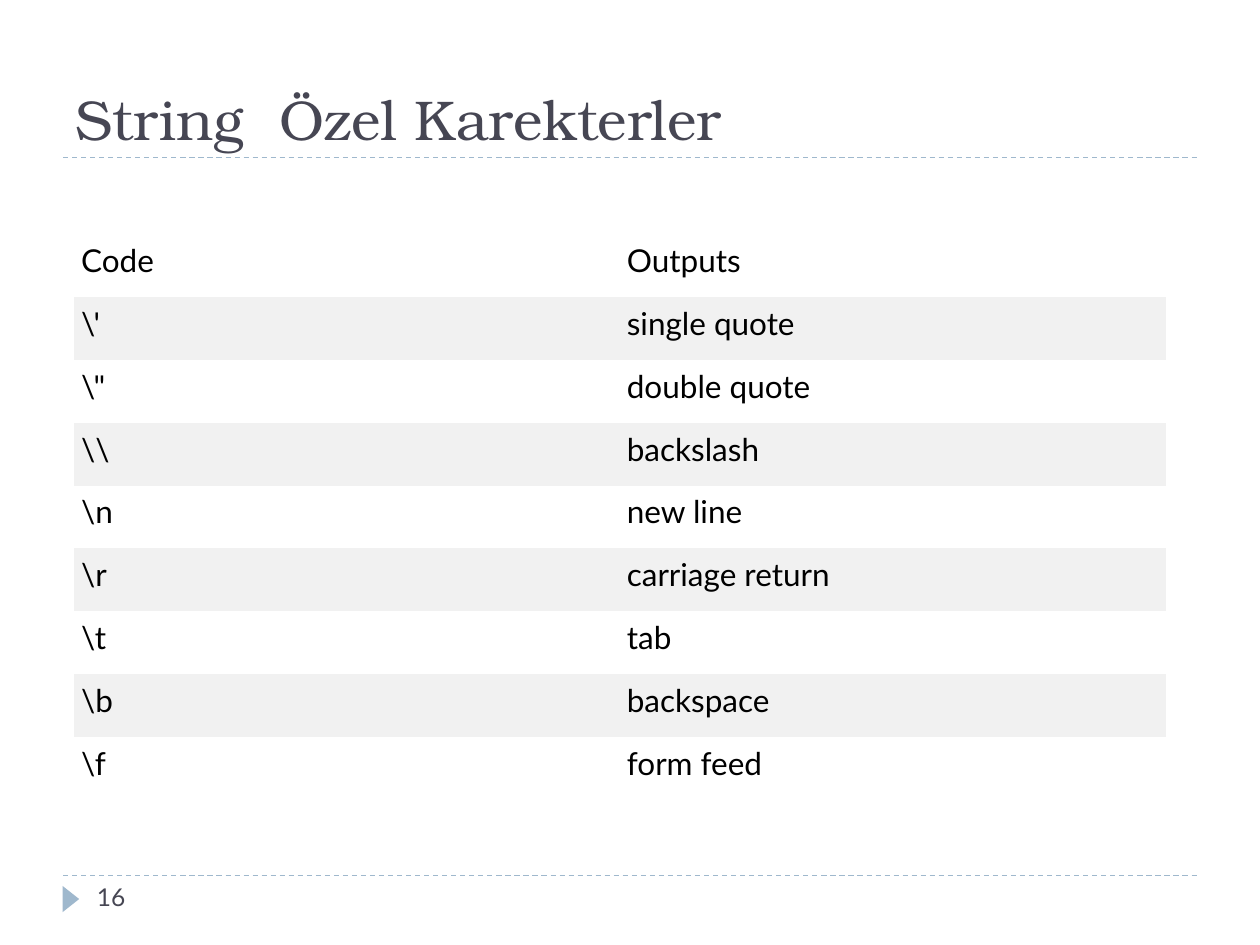
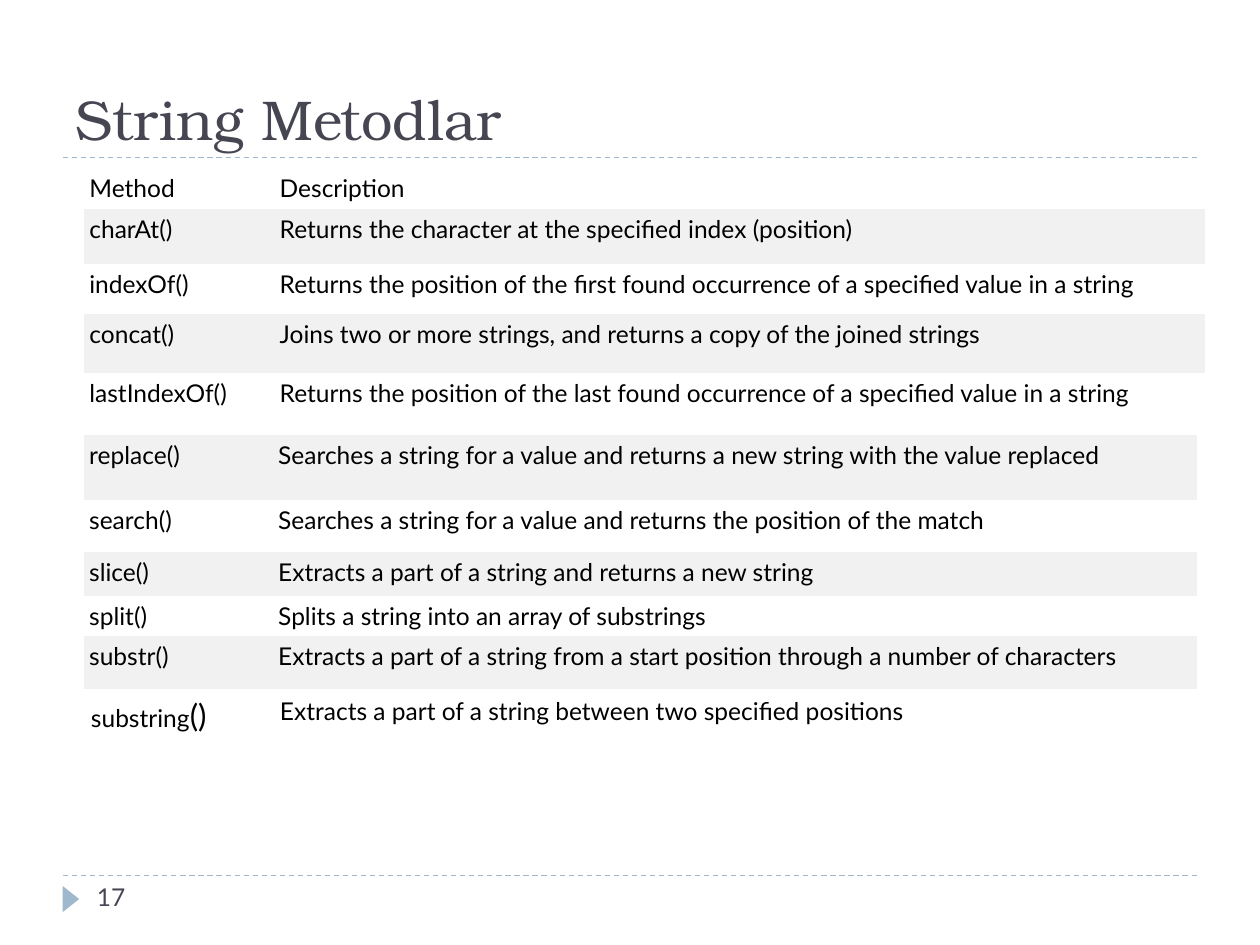
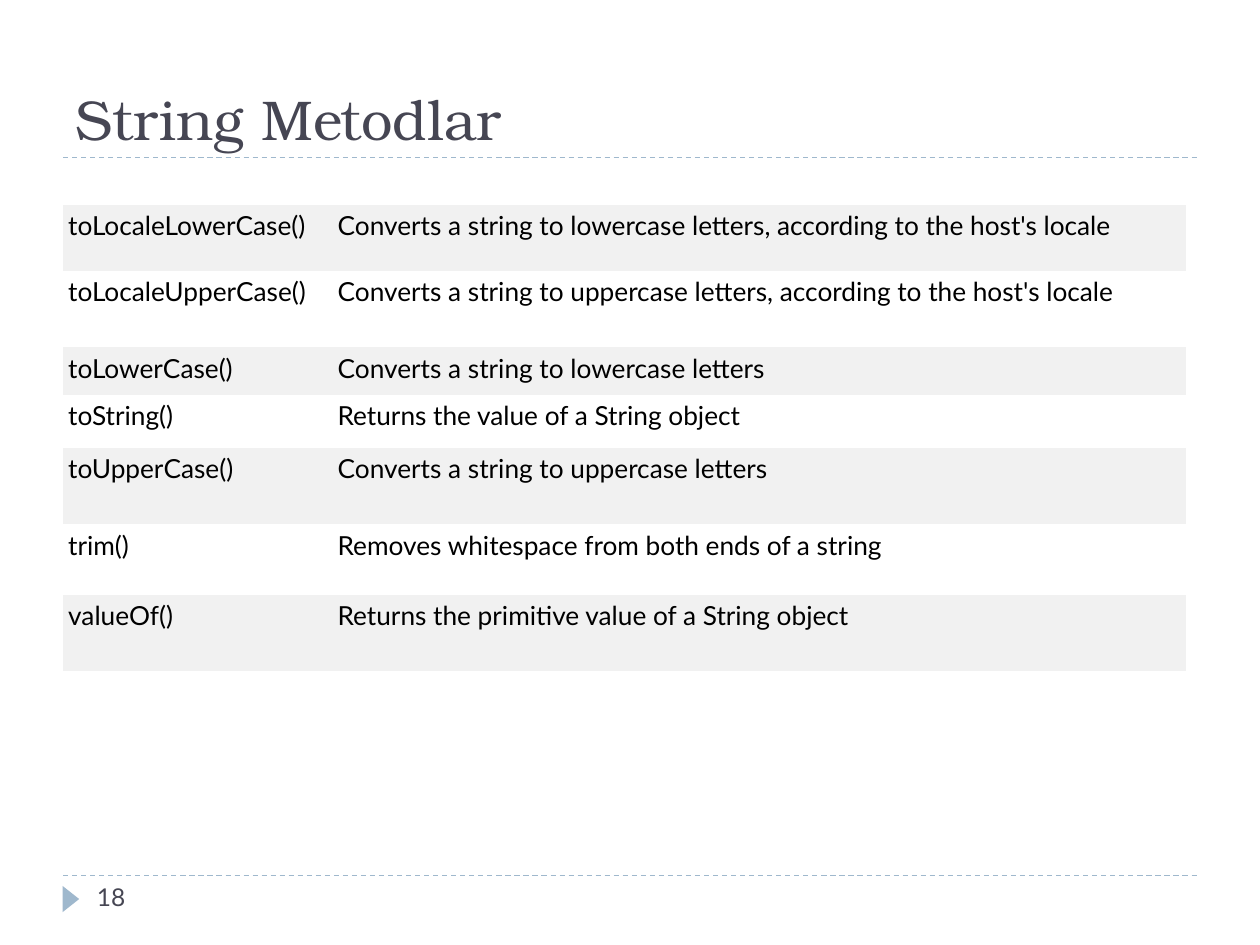
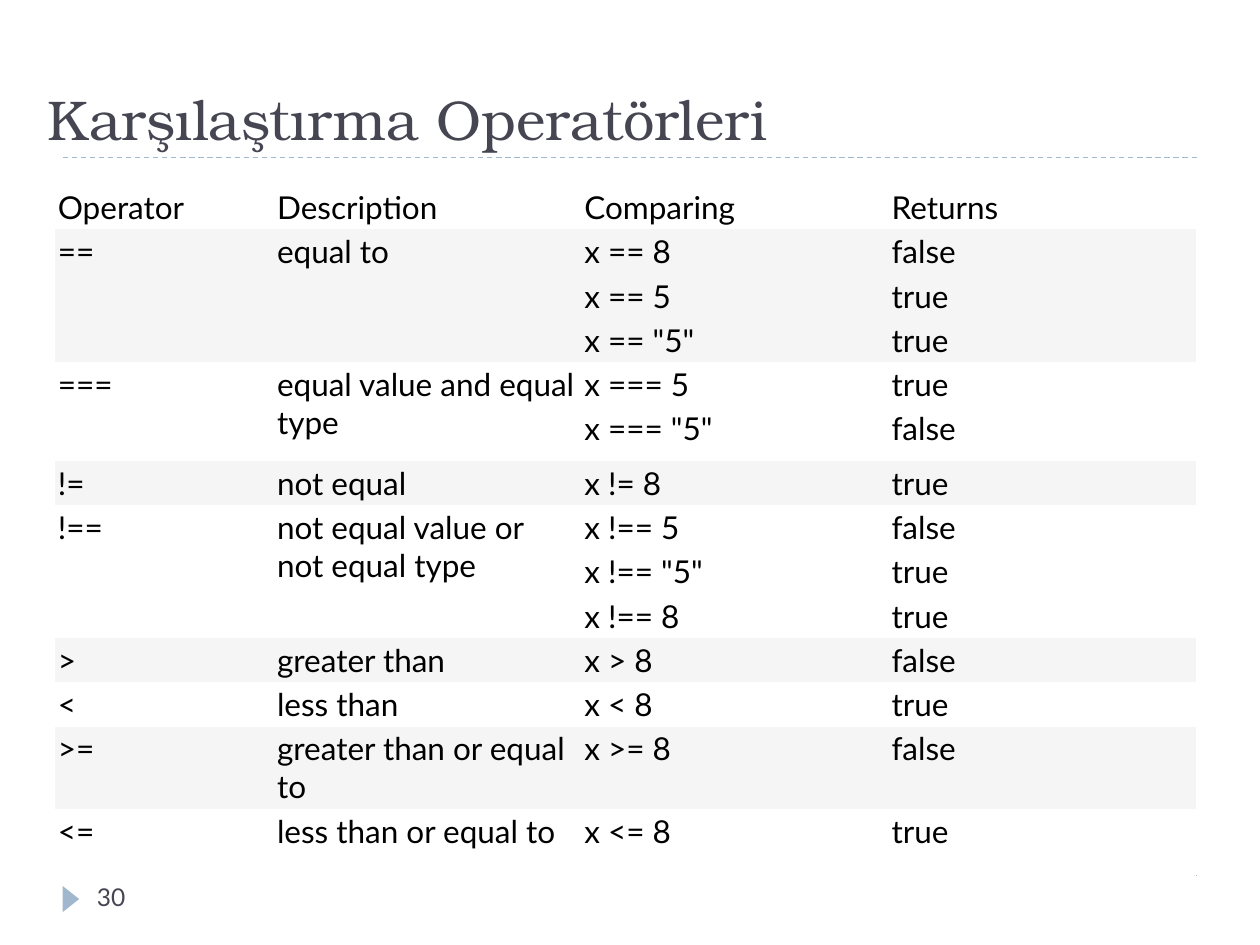
from dataclasses import dataclass
from typing import NamedTuple, Optional, Sequence, Union

from pptx import Presentation
from pptx.dml.color import RGBColor
from pptx.enum.dml import MSO_LINE
from pptx.enum.shapes import MSO_CONNECTOR, MSO_SHAPE
from pptx.enum.text import MSO_ANCHOR, MSO_AUTO_SIZE, PP_ALIGN
from pptx.oxml import parse_xml
from pptx.oxml.ns import nsdecls, qn
from pptx.util import Pt

DASH = MSO_LINE.DASH
STRAIGHT = MSO_CONNECTOR.STRAIGHT
TRIANGLE = MSO_SHAPE.ISOSCELES_TRIANGLE
BOTTOM, TOP = MSO_ANCHOR.BOTTOM, MSO_ANCHOR.TOP
NO_FIT = MSO_AUTO_SIZE.NONE
LEFT = PP_ALIGN.LEFT

INK, ACCENT, BLACK, WHITE = "464653", "9FB8CD", "000000", "FFFFFF"
LIGHT_GREY, PALE_GREY = "F1F1F1", "F5F5F5"
PLAIN_TABLE = "{2D5ABB26-0587-4C30-8999-92F81FD0307C}"
TITLE_ONLY = 5
RULE_TOPS = (90, 500.5)

TITLE_FONT = {"name": "TeX Gyre Bonum", "size": Pt(32), "bold": False}
NUMBER_FONT = {"name": "Lato", "size": Pt(14)}


class Span(NamedTuple):
    """A piece of text with its own size."""
    text: str
    size: float


# None continues the cell above.
Cell = Union[str, Sequence[Span], None]


@dataclass
class Grid:
    """A banded table: place, column widths, row heights and cells."""
    left: float
    top: float
    cols: Sequence[float]
    heights: Sequence[float]
    rows: Sequence[Sequence[Cell]]
    size: float
    inset: float
    band: str = LIGHT_GREY
    band_first: bool = False


@dataclass
class Page:
    """One slide: title, page number and tables."""
    title: str
    number: int
    grids: Sequence[Grid]
    title_left: float = 36


def rgb(value: str) -> RGBColor:
    """Turn a hex string into a colour."""
    return RGBColor.from_string(value)


def format_font(font, values: dict, color: str) -> None:
    """Set font attributes and colour."""
    for name, value in values.items():
        setattr(font, name, value)
    font.color.rgb = rgb(color)


def add_rule(slide, top: float) -> None:
    """Draw a dashed rule across the slide."""
    line = slide.shapes.add_connector(STRAIGHT, Pt(36), Pt(top), Pt(684), Pt(top))
    line.line.color.rgb = rgb(ACCENT)
    line.line.width = Pt(0.75)
    line.line.dash_style = DASH
    line.element.spPr.append(parse_xml(f"<a:effectLst {nsdecls('a')}/>"))


def add_frame(slide, number: int) -> None:
    """Draw the rules, the footer marker and the page number."""
    for top in RULE_TOPS:
        add_rule(slide, top)
    sp = slide.shapes.add_shape(TRIANGLE, Pt(33), Pt(509), Pt(15), Pt(9.5))
    sp.rotation = 90
    sp.shadow.inherit = False
    sp.fill.solid()
    sp.fill.fore_color.rgb = rgb(ACCENT)
    sp.line.fill.background()
    tf = slide.shapes.add_textbox(Pt(48.25), Pt(500.25), Pt(156), Pt(28.8)).text_frame
    tf.word_wrap = True
    r = tf.paragraphs[0].add_run()
    r.text = str(number)
    format_font(r.font, NUMBER_FONT, INK)


def set_title(slide, text: str, left: float) -> None:
    """Place and format the title placeholder."""
    sp = slide.shapes.title
    sp.left, sp.top, sp.width, sp.height = Pt(left), Pt(12.5), Pt(648), Pt(77.75)
    tf = sp.text_frame
    tf.auto_size = NO_FIT
    tf.word_wrap = True
    tf.vertical_anchor = BOTTOM
    p = tf.paragraphs[0]
    p.alignment = LEFT
    r = p.add_run()
    r.text = text
    format_font(r.font, TITLE_FONT, INK)


def fill_cell(cell, content: Cell, grid: Grid, fill: str) -> None:
    """Write and format one table cell."""
    for side in ("left", "top", "right", "bottom"):
        setattr(cell, f"margin_{side}", Pt(grid.inset))
    cell.vertical_anchor = TOP
    cell.fill.solid()
    cell.fill.fore_color.rgb = rgb(fill)
    spans = [Span(content, grid.size)] if isinstance(content, str) else content or []
    p = cell.text_frame.paragraphs[0]
    for span in spans:
        r = p.add_run()
        r.text = span.text
        format_font(r.font, {"name": "Lato", "size": Pt(span.size)}, BLACK)


def add_grid(slide, grid: Grid) -> None:
    """Draw a banded table, merging cells that continue downwards."""
    frame = slide.shapes.add_table(
        len(grid.rows), len(grid.cols), Pt(grid.left), Pt(grid.top),
        Pt(sum(grid.cols)), Pt(sum(grid.heights)))
    next(frame.element.iter(qn("a:tableStyleId"))).text = PLAIN_TABLE
    table = frame.table
    table.first_row = table.horz_banding = False
    for col, width in zip(table.columns, grid.cols):
        col.width = Pt(width)
    banded = not grid.band_first
    for i, (row, height) in enumerate(zip(grid.rows, grid.heights)):
        table.rows[i].height = Pt(height)
        if row[0] is not None:
            banded = not banded
        for j, content in enumerate(row):
            fill_cell(table.cell(i, j), content, grid, grid.band if banded else WHITE)
    for j in range(len(grid.cols)):
        merge_column(table, [row[j] for row in grid.rows], j)


def merge_column(table, contents: Sequence[Optional[Cell]], col: int) -> None:
    """Merge each cell of a column with the empty ones below it."""
    starts = [i for i, content in enumerate(contents) if content is not None]
    for start, end in zip(starts, starts[1:] + [len(contents)]):
        if end - start > 1:
            table.cell(start, col).merge(table.cell(end - 1, col))


ESCAPES = [
    ("Code", "Outputs"),
    ("\\'", "single quote"),
    ('\\"', "double quote"),
    ("\\\\", "backslash"),
    ("\\n", "new line"),
    ("\\r", "carriage return"),
    ("\\t", "tab"),
    ("\\b", "backspace"),
    ("\\f", "form feed"),
]

SEARCH_METHODS = [
    ("Method", "Description"),
    ("charAt()", "Returns the character at the specified index (position)"),
    ("indexOf()", "Returns the position of the first found occurrence of "
                  "a specified value in a string"),
    ("concat()", "Joins two or more strings, and returns a copy of the joined strings"),
    ("lastIndexOf()", "Returns the position of the last found occurrence of "
                      "a specified value in a string"),
]

PART_METHODS = [
    ("replace()", "Searches a string for a value and returns a new string "
                  "with the value replaced"),
    ("search()", "Searches a string for a value and returns the position of the match"),
    ("slice()", "Extracts a part of a string and returns a new string"),
    ("split()", "Splits a string into an array of substrings"),
    ("substr()", "Extracts a part of a string from a start position "
                 "through a number of characters"),
]

SUBSTRING_METHOD = [
    ((Span("substring", 14), Span("()", 18)),
     "Extracts a part of a string between two specified positions"),
]

CONVERT_METHODS = [
    ("toLocaleLowerCase()",
     "Converts a string to lowercase letters, according to the host's locale"),
    ("toLocaleUpperCase()",
     "Converts a string to uppercase letters, according to the host's locale"),
    ("toLowerCase()", "Converts a string to lowercase letters"),
    ("toString()", "Returns the value of a String object"),
    ("toUpperCase()", "Converts a string to uppercase letters"),
    ("trim()", "Removes whitespace from both ends of a string"),
    ("valueOf()", "Returns the primitive value of a String object"),
]

OPERATORS = [
    ("Operator", "Description", "Comparing", "Returns"),
    ("==", "equal to", "x == 8", "false"),
    (None, None, "x == 5", "true"),
    (None, None, 'x == "5"', "true"),
    ("===", "equal value and equal type", "x === 5", "true"),
    (None, None, 'x === "5"', "false"),
    ("!=", "not equal", "x != 8", "true"),
    ("!==", "not equal value or not equal type", "x !== 5", "false"),
    (None, None, 'x !== "5"', "true"),
    (None, None, "x !== 8", "true"),
    (">", "greater than", "x > 8", "false"),
    ("<", "less than", "x < 8", "true"),
    (">=", "greater than or equal to", "x >= 8", "false"),
    ("<=", "less than or equal to", "x <= 8", "true"),
]

METHOD_COLS = (108, 528)

PAGES = [
    Page("String  Özel Karekterler", 16, [
        Grid(42.25, 134, [311.9] * 2, [35.9] * 9, ESCAPES, 18, 4.1)]),
    Page("String Metodlar", 17, [
        Grid(48, 96, (108.75, 532), (23.5, 31.5, 28.4, 33.8, 40), SEARCH_METHODS, 14, 3.1),
        Grid(48, 248.75, METHOD_COLS, (37, 29.7, 25.2, 21, 36.7), PART_METHODS, 14, 3,
             band_first=True),
        Grid(48, 393.75, METHOD_COLS, [28], SUBSTRING_METHOD, 14, 4)]),
    Page("String Metodlar", 18, [
        Grid(36, 117, (154, 487.5), (37.8, 43.5, 27.3, 30.4, 43.5, 40.5, 43.4),
             CONVERT_METHODS, 15, 3, band_first=True)]),
    Page("Karşılaştırma Operatörleri", 30, [
        Grid(31.25, 105.75, [125.25] + [175.6] * 3,
             [24.5] * 5 + [31] + [24.5] * 6 + [44.6, 44],
             OPERATORS, 18, 1.85, band=PALE_GREY)], title_left=20),
]


def main() -> None:
    """Build and save the presentation."""
    prs = Presentation()
    prs.slide_width, prs.slide_height = Pt(720), Pt(540)
    for page in PAGES:
        slide = prs.slides.add_slide(prs.slide_layouts[TITLE_ONLY])
        add_frame(slide, page.number)
        set_title(slide, page.title, page.title_left)
        for grid in page.grids:
            add_grid(slide, grid)
    prs.save("out.pptx")


main()
